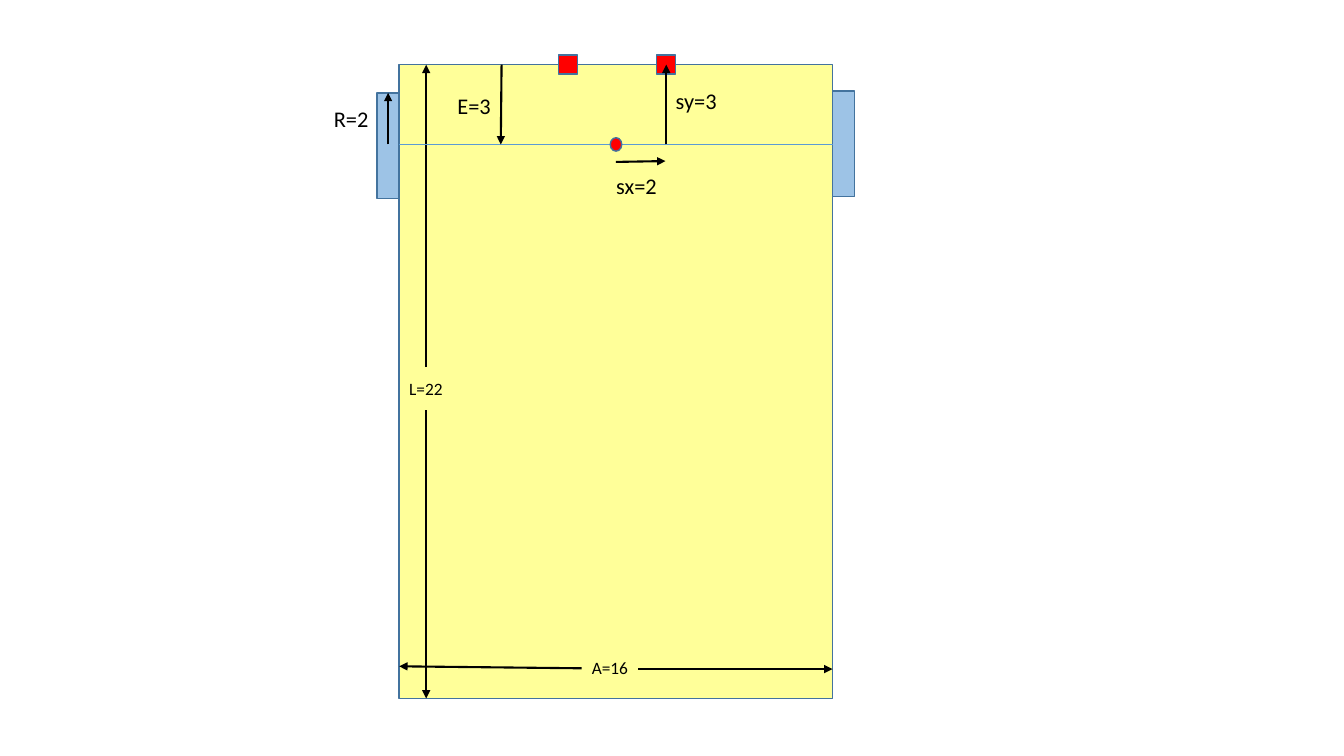
from pptx import Presentation
from pptx.dml.color import RGBColor
from pptx.enum.shapes import MSO_CONNECTOR, MSO_SHAPE
from pptx.enum.text import MSO_ANCHOR, PP_ALIGN
from pptx.oxml.ns import qn
from pptx.util import Cm, Pt
from lxml.etree import SubElement

BLACK, RED, YELLOW = "000000", "FF0000", "FFFF99"
LIGHT_BLUE, BLUE, OUTLINE = "9DC3E6", "5B9BD5", "43739E"
LEFT, TOP, RIGHT, BOTTOM = 10.06, 1.63, 20.98, 17.6
AXIS = 3.64
LABEL_HEIGHT = 1.09


def color(value):
    return RGBColor.from_string(value)


def add_block(slide, kind, left, top, width, height, fill):
    shape = slide.shapes.add_shape(kind, Cm(left), Cm(top), Cm(width), Cm(height))
    shape.shadow.inherit = False
    shape.fill.solid()
    shape.fill.fore_color.rgb = color(fill)
    shape.line.color.rgb = color(OUTLINE)
    shape.line.width = Pt(1)


def add_line(slide, start, end, line_color=BLACK, width=1.5, arrow=True):
    points = [Cm(value) for value in (*start, *end)]
    connector = slide.shapes.add_connector(MSO_CONNECTOR.STRAIGHT, *points)
    connector.line.color.rgb = color(line_color)
    connector.line.width = Pt(width)
    if arrow:
        SubElement(connector.line._get_or_add_ln(), qn("a:tailEnd"), type="triangle")
    SubElement(connector._element.spPr, qn("a:effectLst"))


def add_label(slide, text, left, top, width, size=16):
    box = slide.shapes.add_textbox(Cm(left), Cm(top), Cm(width), Cm(LABEL_HEIGHT))
    frame = box.text_frame
    frame.word_wrap = False
    frame.vertical_anchor = MSO_ANCHOR.MIDDLE
    paragraph = frame.paragraphs[0]
    paragraph.alignment = PP_ALIGN.CENTER
    run = paragraph.add_run()
    run.text = text
    run.font.name = "Calibri"
    run.font.size = Pt(size)
    run.font.color.rgb = color(BLACK)


def main():
    presentation = Presentation()
    presentation.slide_width = Cm(33.87)
    presentation.slide_height = Cm(19.05)
    slide = presentation.slides.add_slide(presentation.slide_layouts[6])

    add_block(slide, MSO_SHAPE.RECTANGLE, LEFT, TOP, RIGHT - LEFT, BOTTOM - TOP, YELLOW)

    length_x = 10.74
    add_label(slide, "L=22", LEFT, 9.25, 1.35, 12.4)
    add_line(slide, (length_x, 9.25), (length_x, TOP))
    add_line(slide, (length_x, 10.34), (length_x, BOTTOM))
    add_label(slide, "A=16", 14.66, 16.28, 1.42, 12.4)
    add_line(slide, (14.66, 16.84), (LEFT, 16.79))
    add_line(slide, (16.08, 16.86), (RIGHT, 16.86))

    wheel_width = 0.56
    for left, top in ((LEFT - wheel_width, 2.34), (RIGHT, 2.29)):
        add_block(slide, MSO_SHAPE.RECTANGLE, left, top, wheel_width, 2.67, LIGHT_BLUE)
    add_line(slide, (LEFT, AXIS), (RIGHT, AXIS), BLUE, 0.5, arrow=False)
    add_line(slide, (9.78, AXIS), (9.78, 2.34))
    add_label(slide, "R=2", 8.05, 2.44, 1.6)

    add_block(slide, MSO_SHAPE.OVAL, 15.38, 3.47, 0.29, 0.34, RED)
    sensor_size = 0.48
    for center in (14.31, 16.79):
        add_block(slide, MSO_SHAPE.RECTANGLE, center - sensor_size / 2,
                  TOP - sensor_size / 2, sensor_size, sensor_size, RED)

    add_line(slide, (12.64, TOP), (12.62, AXIS))
    add_label(slide, "E=3", 11.15, 2.11, 1.6)
    add_line(slide, (16.79, AXIS), (16.79, TOP))
    add_label(slide, "sy=3", 16.77, 1.98, 1.55)
    add_line(slide, (15.52, 4.08), (16.77, 4.06))
    add_label(slide, "sx=2", 15.24, 4.12, 1.6)

    presentation.save("out.pptx")


main()
